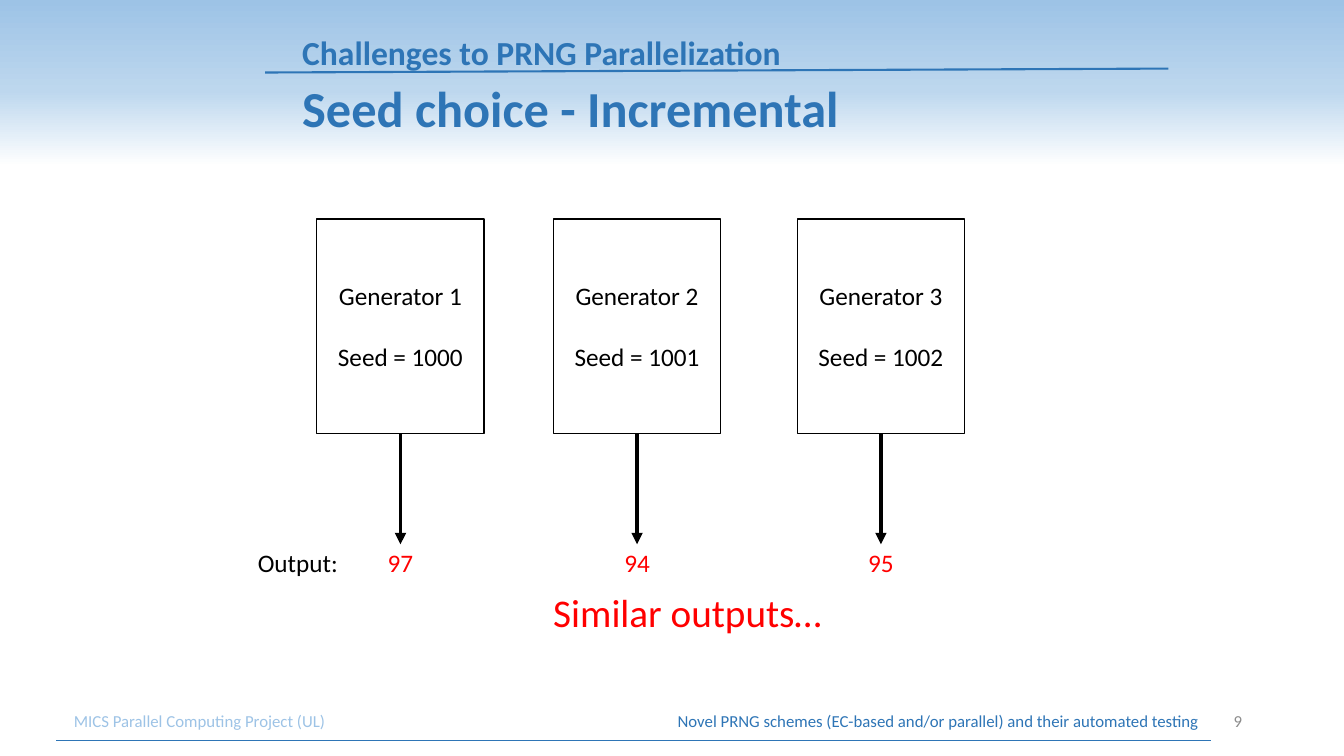
from lxml import etree
from pptx import Presentation
from pptx.dml.color import RGBColor
from pptx.enum.shapes import MSO_CONNECTOR as Connector, MSO_SHAPE as Shape
from pptx.enum.text import MSO_ANCHOR as Anchor, PP_ALIGN as Align
from pptx.oxml.ns import qn
from pptx.util import Pt

BLUE = RGBColor(0x2E, 0x75, 0xB6)
SKY = RGBColor(0x9D, 0xC3, 0xE6)
PALE = RGBColor(0xBD, 0xD7, 0xEE)
WHITE = RGBColor(0xFF, 0xFF, 0xFF)
BLACK = RGBColor(0, 0, 0)
RED = RGBColor(0xFF, 0, 0)
GREY = RGBColor(0x8C, 0x8C, 0x8C)

BACKGROUND_STOPS = [(0, SKY), (12, PALE), (22, WHITE), (100, WHITE)]
GENERATORS = [
    (226.3, "Generator 1", "Seed = 1000", "97"),
    (395.3, "Generator 2", "Seed = 1001", "94"),
    (569.5, "Generator 3", "Seed = 1002", "95"),
]


def apply(target, values):
    """Set every attribute in values on target."""
    for name, value in values.items():
        setattr(target, name, value)


def write(paragraph, text, size, color, bold=False, **layout):
    """Fill a paragraph with one formatted run."""
    apply(paragraph, layout)
    run = paragraph.add_run()
    run.text = text
    apply(run.font, {"name": "Calibri", "size": Pt(size), "bold": bold})
    run.font.color.rgb = color


def add_text(slide, box, text, size, color, anchor=Anchor.TOP, wrap=True, **style):
    """Add a one-paragraph text box at box (left, top, width, height)."""
    frame = slide.shapes.add_textbox(*map(Pt, box)).text_frame
    apply(frame, {"word_wrap": wrap, "vertical_anchor": anchor})
    write(frame.paragraphs[0], text, size, color, **style)


def add_line(slide, start, end, color, width):
    """Add a straight line without shadow."""
    line = slide.shapes.add_connector(Connector.STRAIGHT, *map(Pt, start + end))
    line.line.color.rgb = color
    line.line.width = Pt(width)
    etree.SubElement(line.element.spPr, qn("a:effectLst"))
    return line


def paint_background(slide):
    """Fade the top of the slide from blue to white."""
    fill = slide.background.fill
    fill.gradient()
    fill.gradient_angle = 270
    stops = slide.element.find(".//" + qn("a:gsLst"))
    stops.clear()
    for percent, color in BACKGROUND_STOPS:
        stop = etree.SubElement(stops, qn("a:gs"), pos=str(percent * 1000))
        etree.SubElement(stop, qn("a:srgbClr"), val=str(color))


def add_heading(slide, left, top, width, height):
    """Place the section name, its rule and the slide title."""
    add_line(slide, (left - 19.4, top + 48.2), (left + 625.7, top + 45.4), BLUE, 1.5)
    lines = [("Challenges to PRNG Parallelization", 24, 0),
             ("Seed choice - Incremental", 36, 46.8)]
    for text, size, offset in lines:
        add_text(slide, (left, top + offset, width, height), text, size, BLUE,
                 Anchor.BOTTOM, bold=True, line_spacing=0.9)


def add_footer(slide, left, top, width, height):
    """Place the project name, the talk title, the page number and the rule."""
    box = (left, top, width, height)
    add_text(slide, box, "MICS Parallel Computing Project (UL)", 12, SKY, Anchor.MIDDLE)
    add_text(slide, box,
             "Novel PRNG schemes (EC-based and/or parallel) and their automated testing",
             12, BLUE, Anchor.MIDDLE, alignment=Align.RIGHT)
    add_text(slide, (left + width, top, 30.7, height), "9", 12, GREY,
             Anchor.MIDDLE, alignment=Align.RIGHT)
    add_line(slide, (left - 5.4, top + 28.1), (left + 819, top + 28.1), BLUE, 0.5)


def add_generator(slide, left, top, width, height, name, seed, output):
    """Place a generator box, its arrow and its output value."""
    box = slide.shapes.add_shape(Shape.RECTANGLE, *map(Pt, (left, top, width, height)))
    box.shadow.inherit = False
    box.fill.solid()
    box.fill.fore_color.rgb = WHITE
    box.line.color.rgb = BLACK
    box.line.width = Pt(1)
    frame = box.text_frame
    apply(frame, {"word_wrap": True, "vertical_anchor": Anchor.MIDDLE})
    write(frame.paragraphs[0], name, 18, BLACK, alignment=Align.CENTER)
    write(frame.add_paragraph(), seed, 18, BLACK, alignment=Align.CENTER,
          space_before=Pt(22))

    center, bottom = left + width / 2, top + height
    arrow = add_line(slide, (center, bottom), (center, bottom + 79), BLACK, 2.75)
    arrow.begin_connect(box, 2)
    etree.SubElement(arrow.line._get_or_add_ln(), qn("a:tailEnd"), type="triangle")
    add_text(slide, (center - 32.75, bottom + 77.6, 65.5, 28.8), output, 18, RED,
             alignment=Align.CENTER)


def add_diagram(slide, top, width, height):
    """Place the generators and the remarks about their outputs."""
    for left, name, seed, output in GENERATORS:
        add_generator(slide, left, top, width, height, name, seed, output)
    bottom = top + height
    add_text(slide, (388.1, bottom + 107, 208.1, 41), "Similar outputs…", 28, RED,
             wrap=False)
    add_text(slide, (177.1, bottom + 77.6, 72, 28.8), "Output:", 18, BLACK, wrap=False)


def main():
    """Build and save the slide."""
    presentation = Presentation()
    apply(presentation, {"slide_width": Pt(960), "slide_height": Pt(540)})
    slide = presentation.slides.add_slide(presentation.slide_layouts[6])
    paint_background(slide)
    add_heading(slide, 208.8, 3.6, 602.6, 51.8)
    add_footer(slide, 45.7, 500.4, 817.9, 28.8)
    add_diagram(slide, 156.4, 119.5, 153.4)
    presentation.save("out.pptx")


if __name__ == "__main__":
    main()
